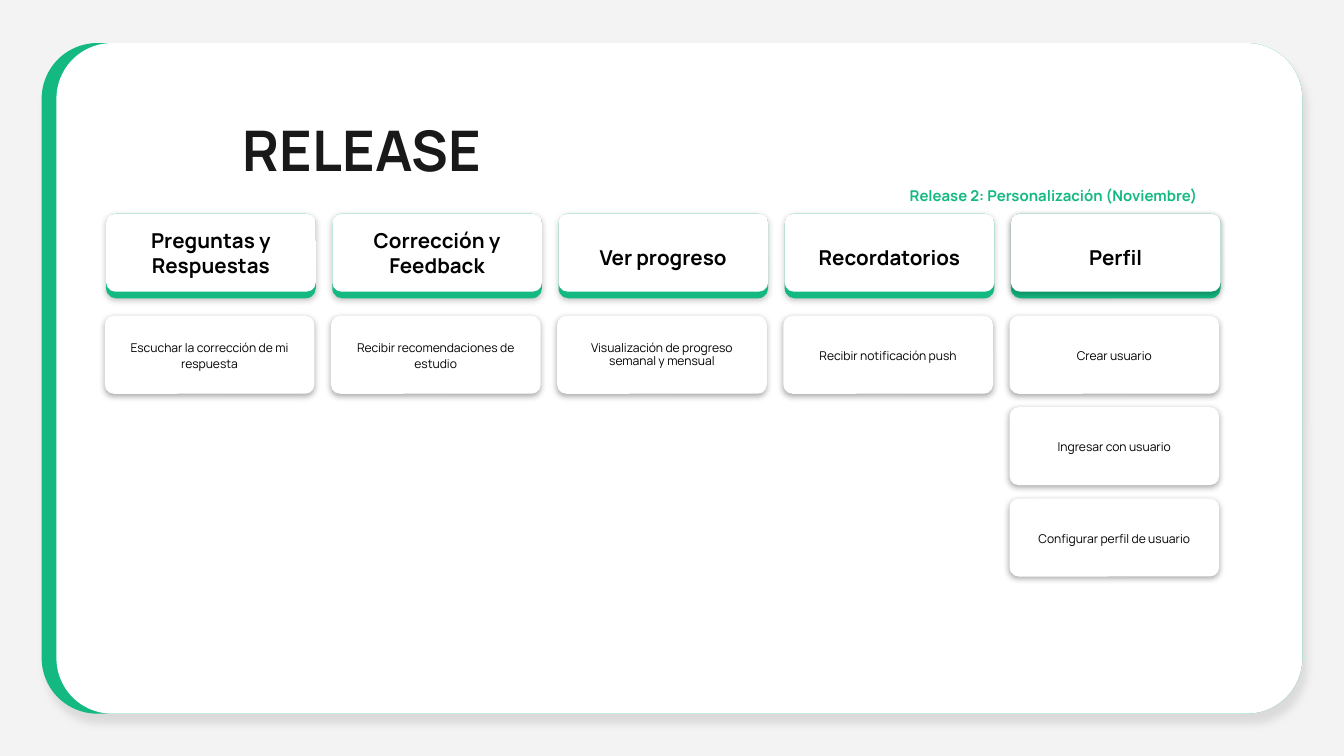
import pptx
import pptx.dml.color
import pptx.enum.shapes
import pptx.enum.text
import pptx.oxml
import pptx.oxml.ns
import pptx.util
from pptx.util import Inches

GREEN, WHITE, BLACK = "13B981", "FFFFFF", "000000"
FONT = "Manrope"
CARD_WIDTH, CARD_HEIGHT = 1.56, 0.58
COLUMN_STEP, ROW_STEP = 1.683, 0.68
ALIGN = pptx.enum.text.PP_ALIGN
ANCHOR = pptx.enum.text.MSO_ANCHOR

# Shadows: opacity in percent, blur and distance in points, angle in degrees
PANEL_SHADOW = (10, 4.5, 6, 68)
HEADER_SHADOW = (23, 3.4, 1.1, 90)
CARD_SHADOW = (32, 3.4, 1.1, 99)

# Heading, its line spacing, the tasks' line spacing, tasks
COLUMNS = [
    ("Preguntas y Respuestas", 1, 1.12, ["Escuchar la corrección de mi respuesta"]),
    ("Corrección y Feedback", 1, 1.12, ["Recibir recomendaciones de estudio"]),
    ("Ver progreso", 1.4, 0.93, ["Visualización de progreso semanal y mensual"]),
    ("Recordatorios", 1.4, 1.12, ["Recibir notificación push"]),
    ("Perfil", 1.4, 1.12,
     ["Crear usuario", "Ingresar con usuario", "Configurar perfil de usuario"]),
]


def color(value):
    return pptx.dml.color.RGBColor.from_string(value)


def add_shadow(shape, opacity, blur, distance, angle):
    effects = pptx.oxml.parse_xml(
        f'<a:effectLst {pptx.oxml.ns.nsdecls("a")}>'
        f'<a:outerShdw blurRad="{pptx.util.Pt(blur)}" dist="{pptx.util.Pt(distance)}" '
        f'dir="{angle * 60000}" algn="bl" rotWithShape="0">'
        f'<a:srgbClr val="{BLACK}"><a:alpha val="{opacity * 1000}"/></a:srgbClr>'
        '</a:outerShdw></a:effectLst>')
    properties = shape.element.spPr
    properties.remove(properties.find(pptx.oxml.ns.qn("a:effectLst")))
    properties.append(effects)


def add_panel(page, left, top, width, height, fill, rounding, shadow=None):
    panel = page.shapes.add_shape(
        pptx.enum.shapes.MSO_SHAPE.ROUNDED_RECTANGLE,
        Inches(left), Inches(top), Inches(width), Inches(height))
    panel.adjustments[0] = rounding
    panel.fill.solid()
    panel.fill.fore_color.rgb = color(fill)
    panel.line.fill.background()
    panel.shadow.inherit = False
    if shadow:
        add_shadow(panel, *shadow)
    return panel


def write(box, text, size, ink=BLACK, bold=False, align=ALIGN.CENTER,
          anchor=ANCHOR.MIDDLE, inset=0.08, line_spacing=1):
    frame = box.text_frame
    frame.word_wrap = True
    frame.vertical_anchor = anchor
    frame.margin_left = frame.margin_right = Inches(inset)
    frame.margin_top = frame.margin_bottom = Inches(inset)
    para = frame.paragraphs[0]
    para.alignment = align
    para.line_spacing = line_spacing
    span = para.add_run()
    span.text = text
    span.font.name = FONT
    span.font.size = pptx.util.Pt(size)
    span.font.bold = bold
    span.font.color.rgb = color(ink)


def add_label(page, left, top, width, height, text, **text_format):
    box = page.shapes.add_textbox(
        Inches(left), Inches(top), Inches(width), Inches(height))
    write(box, text, anchor=ANCHOR.TOP, inset=0.1, bold=True, **text_format)


def add_background(page, left, top, width, height):
    page.background.fill.solid()
    page.background.fill.fore_color.rgb = color("F3F3F3")
    edge = 0.11
    add_panel(page, left, top, width, height, GREEN, 0.083, PANEL_SHADOW)
    add_panel(page, left + edge, top, width - edge, height, WHITE, 0.083)


def add_column(page, left, top, heading, heading_spacing, task_spacing, tasks,
               raised=False):
    """Heading card with a green lower edge, above a stack of task cards."""
    add_panel(page, left, top, CARD_WIDTH, CARD_HEIGHT + 0.05, GREEN, 0.117,
              HEADER_SHADOW)
    header = add_panel(page, left, top, CARD_WIDTH, CARD_HEIGHT, WHITE, 0.117,
                       HEADER_SHADOW if raised else None)
    write(header, heading, size=11, bold=True, line_spacing=heading_spacing)
    for row, task in enumerate(tasks):
        card = add_panel(page, left - 0.01, top + 0.76 + row * ROW_STEP,
                         CARD_WIDTH, CARD_HEIGHT, WHITE, 0.117, CARD_SHADOW)
        write(card, task, size=6.5, line_spacing=task_spacing)


def main():
    deck = pptx.Presentation()
    deck.slide_width, deck.slide_height = Inches(10), Inches(5.625)
    page = deck.slides.add_slide(deck.slide_layouts[6])
    add_background(page, 0.31, 0.32, 9.38, 4.99)
    add_label(page, 1.71, 0.76, 6.9, 0.63, "RELEASE", size=30, ink="191919",
              align=ALIGN.LEFT)
    add_label(page, 6.59, 1.24, 2.5, 0.34, "Release 2: Personalización (Noviembre)",
              size=8, ink=GREEN, line_spacing=1.4)
    for index, column in enumerate(COLUMNS):
        add_column(page, 0.79 + index * COLUMN_STEP, 1.59, *column,
                   raised=index == len(COLUMNS) - 1)
    deck.save("out.pptx")


if __name__ == "__main__":
    main()
